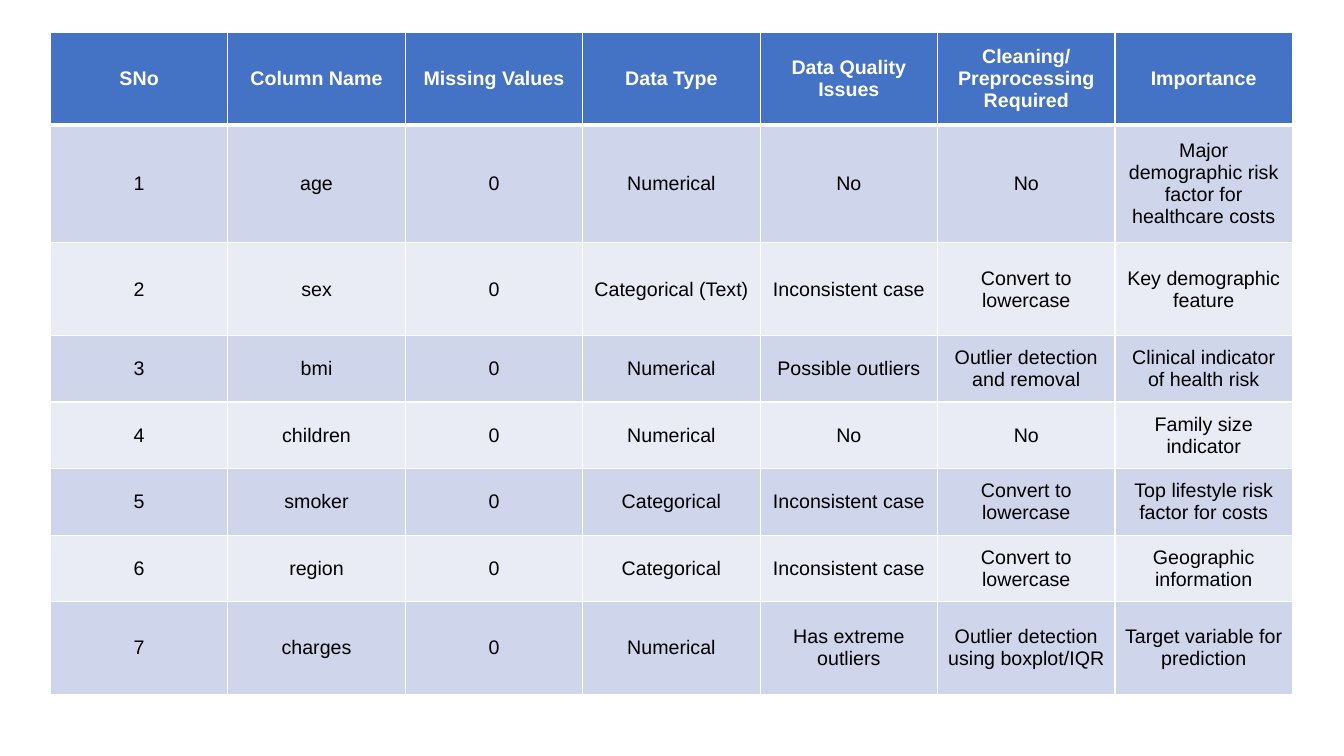
from lxml import etree
from pptx import Presentation
from pptx import util as u
from pptx.dml.color import RGBColor
from pptx.enum import text
from pptx.oxml import ns

WHITE, BLACK, HEADER_BLUE = "FFFFFF", "000000", "4472C4"
BANDS = ("CFD5EA", "E9EBF5")
HEADINGS = ("SNo", "Column Name", "Missing Values", "Data Type",
            "Data Quality Issues", "Cleaning/Preprocessing Required", "Importance")
FEATURES = (
    ("age", "0", "Numerical", "No", "No",
     "Major demographic risk factor for healthcare costs"),
    ("sex", "0", "Categorical (Text)", "Inconsistent case",
     "Convert to lowercase", "Key demographic feature"),
    ("bmi", "0", "Numerical", "Possible outliers",
     "Outlier detection and removal", "Clinical indicator of health risk"),
    ("children", "0", "Numerical", "No", "No", "Family size indicator"),
    ("smoker", "0", "Categorical", "Inconsistent case",
     "Convert to lowercase", "Top lifestyle risk factor for costs"),
    ("region", "0", "Categorical", "Inconsistent case",
     "Convert to lowercase", "Geographic information"),
    ("charges", "0", "Numerical", "Has extreme outliers",
     "Outlier detection using boxplot/IQR", "Target variable for prediction"),
)
ROW_HEIGHTS = (0.92, 1.17, 0.92, 0.66, 0.66, 0.66, 0.66, 0.92)


def color(hex_value):
    return RGBColor.from_string(hex_value)


def set_borders(cell, widths):
    properties = cell._tc.get_or_add_tcPr()
    for index, (side, width) in enumerate(widths.items()):
        line = etree.Element(ns.qn(f"a:ln{side}"), w=str(u.Pt(width)))
        fill = etree.SubElement(line, ns.qn("a:solidFill"))
        etree.SubElement(fill, ns.qn("a:srgbClr"), val=WHITE)
        properties.insert(index, line)


def format_cell(cell, wording, fill, font_color, bold):
    cell.fill.solid()
    cell.fill.fore_color.rgb = color(fill)
    cell.vertical_anchor = text.MSO_ANCHOR.MIDDLE
    cell.margin_left = cell.margin_right = u.Inches(0.07)
    cell.margin_top = cell.margin_bottom = u.Inches(0.07)
    paragraph = cell.text_frame.paragraphs[0]
    paragraph.alignment = text.PP_ALIGN.CENTER
    run = paragraph.add_run()
    run.text = wording
    run.font.name = "Arial"
    run.font.size = u.Pt(14)
    run.font.bold = bold
    run.font.color.rgb = color(font_color)


def add_quality_table(slide, left, top, width):
    rows = [HEADINGS] + [(str(number), *feature)
                         for number, feature in enumerate(FEATURES, 1)]
    table = slide.shapes.add_table(
        len(rows), len(HEADINGS), u.Inches(left), u.Inches(top),
        u.Inches(width), u.Inches(sum(ROW_HEIGHTS))).table
    for column in table.columns:
        column.width = u.Inches(width / len(HEADINGS))
    for row_index, (values, height) in enumerate(zip(rows, ROW_HEIGHTS)):
        table.rows[row_index].height = u.Inches(height)
        header = row_index == 0
        fill = HEADER_BLUE if header else BANDS[(row_index - 1) % 2]
        borders = {"L": 1, "R": 1, "T": 3 if row_index == 1 else 1,
                   "B": 3 if header else 1}
        for column_index, wording in enumerate(values):
            cell = table.cell(row_index, column_index)
            format_cell(cell, wording, fill, WHITE if header else BLACK, header)
            set_borders(cell, borders)


def main():
    presentation = Presentation()
    presentation.slide_width = u.Inches(13.33)
    presentation.slide_height = u.Inches(7.5)
    slide = presentation.slides.add_slide(presentation.slide_layouts[6])
    add_quality_table(slide, 0.5, 0.32, 12.32)
    presentation.save("out.pptx")


if __name__ == "__main__":
    main()
